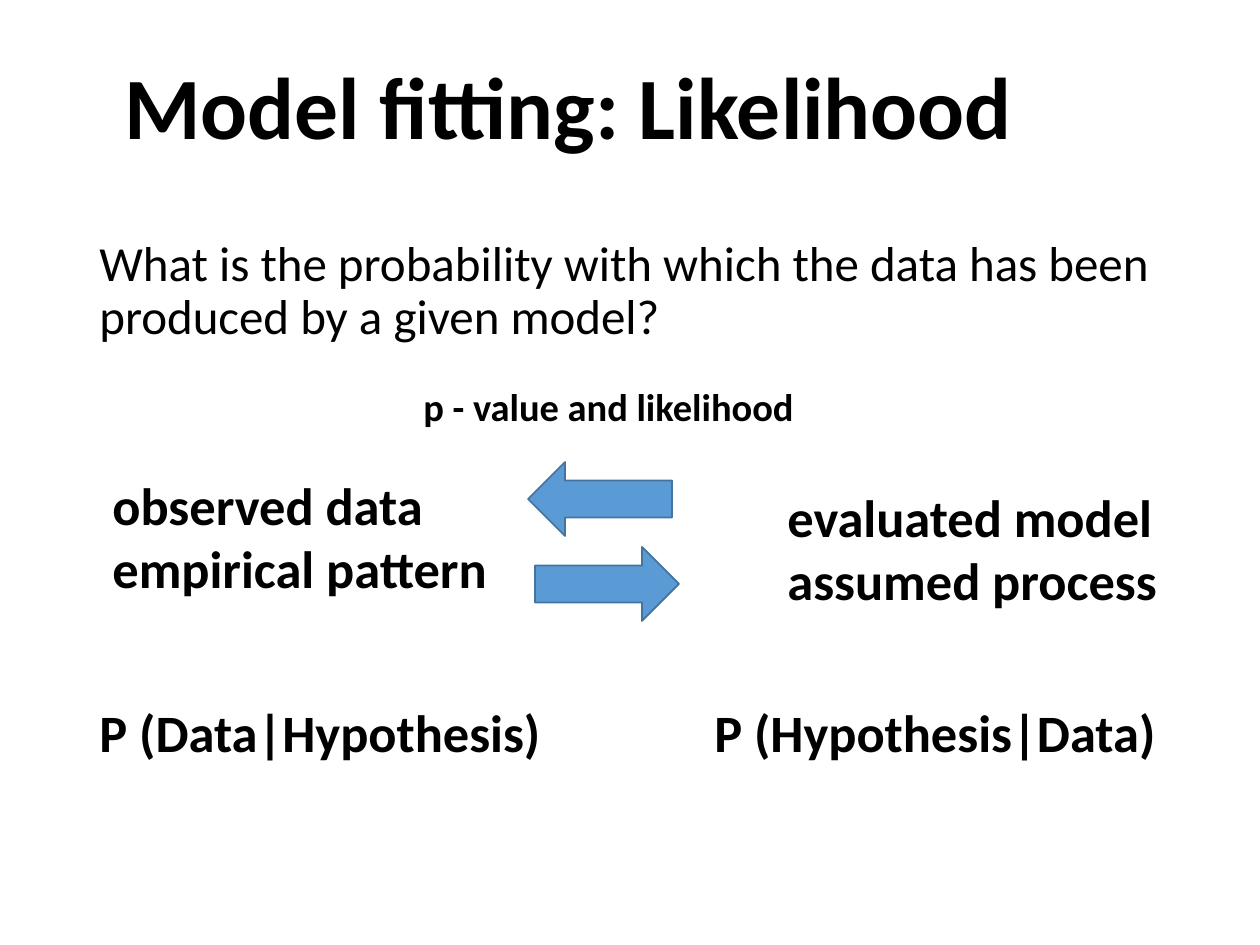
import pptx
import pptx.dml.color
import pptx.enum.shapes
import pptx.enum.text
import pptx.util

PX_PER_INCH = 126
BLACK = pptx.dml.color.RGBColor(0x00, 0x00, 0x00)
BLUE = pptx.dml.color.RGBColor(0x5B, 0x9B, 0xD5)
DARK_BLUE = pptx.dml.color.RGBColor(0x43, 0x73, 0x9E)


def px(n):
    return pptx.util.Emu(round(n * 914400 / PX_PER_INCH))


class Deck:
    font = "Calibri"

    def __init__(self, width, height):
        self.prs = pptx.Presentation()
        self.prs.slide_width, self.prs.slide_height = px(width), px(height)
        self.s = self.prs.slides.add_slide(self.prs.slide_layouts[6])

    def text(self, x, y, w, h, lines, size, bold=True, wrap=False,
             spacing=None, anchor=pptx.enum.text.MSO_ANCHOR.TOP):
        sp = self.s.shapes.add_textbox(px(x), px(y), px(w), px(h))
        tf = sp.text_frame
        tf.word_wrap = wrap
        tf.vertical_anchor = anchor
        for i, line in enumerate(lines):
            p = tf.add_paragraph() if i else tf.paragraphs[0]
            if spacing:
                p.line_spacing = spacing
            r = p.add_run()
            r.text = line
            r.font.name = self.font
            r.font.size = pptx.util.Pt(size)
            r.font.bold = bold
            r.font.color.rgb = BLACK

    def arrow(self, x, y, w, h, rotation=0):
        sp = self.s.shapes.add_shape(
            pptx.enum.shapes.MSO_SHAPE.RIGHT_ARROW, px(x), px(y), px(w), px(h))
        sp.rotation = rotation
        sp.shadow.inherit = False
        sp.fill.solid()
        sp.fill.fore_color.rgb = BLUE
        sp.line.color.rgb = DARK_BLUE
        sp.line.width = pptx.util.Pt(1)


def main():
    deck = Deck(1260, 945)

    # Title and question
    deck.text(112, 70, 1086, 82, ["Model fitting: Likelihood"], 50, wrap=True,
              spacing=0.9, anchor=pptx.enum.text.MSO_ANCHOR.MIDDLE)
    deck.text(87, 233, 1086, 132,
              ["What is the probability with which the data has been "
               "produced by a given model?"],
              28, bold=False, wrap=True, spacing=0.9)

    # Data and model, linked both ways
    deck.text(411, 377, 399, 59, ["p - value and likelihood"], 22)
    deck.text(100, 467, 404, 140, ["observed data", "empirical pattern"], 30)
    deck.text(775, 479, 399, 140, ["evaluated model", "assumed process"], 30)
    deck.arrow(528, 462, 144, 74, rotation=180)
    deck.arrow(535, 547, 144, 74)

    # Conditional probabilities
    for x, formula in ((87, "P (Data|Hypothesis)"),
                       (702, "P (Hypothesis|Data)")):
        deck.text(x, 694, 471, 77, [formula], 30)

    deck.prs.save("out.pptx")


if __name__ == "__main__":
    main()
